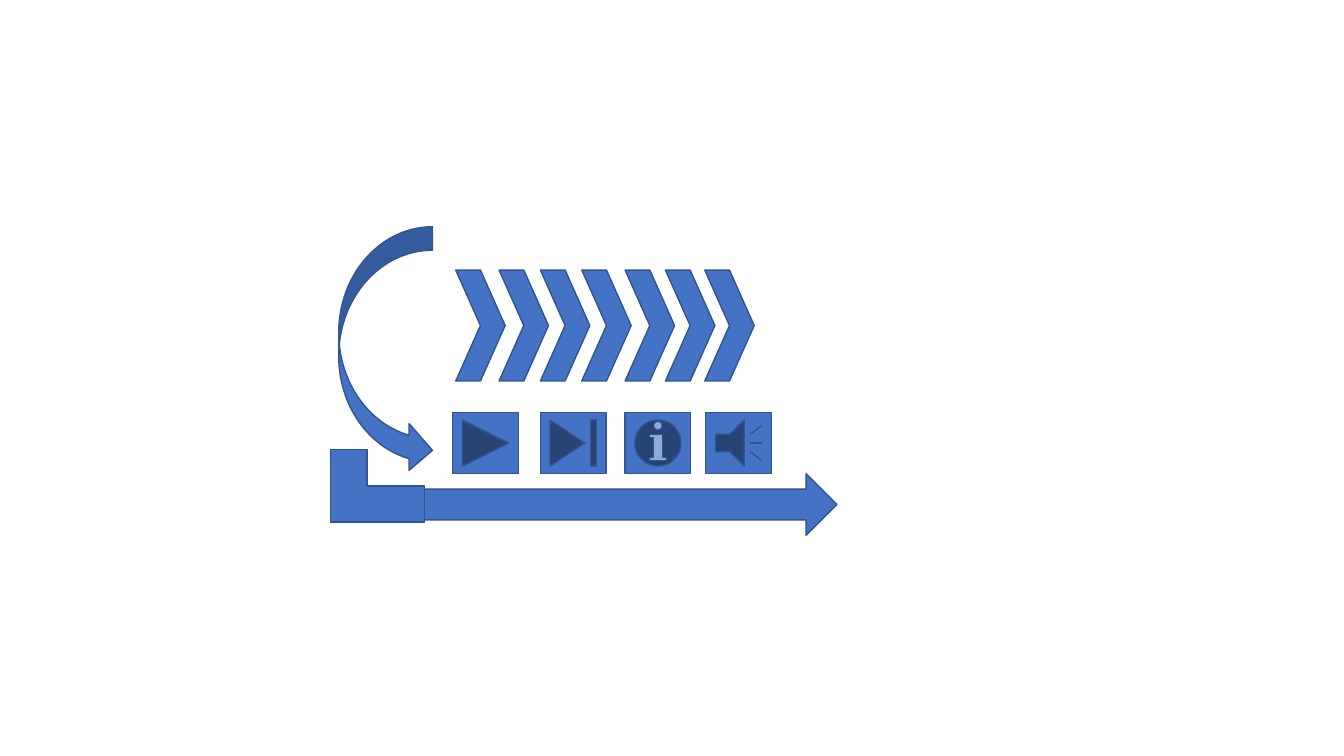
from pptx import Presentation
from pptx import util as u
from pptx.dml import color
from pptx.enum import shapes

MSO = shapes.MSO_SHAPE


def rgb(value):
    return color.RGBColor.from_string(value)


class Board:
    """Shape style and the slide being drawn on."""
    FILL = "4472C4"
    LINE = "325491"
    LINE_WIDTH = u.Pt(1)

    def __init__(self, slide):
        self.s = slide

    def shape(self, kind, left, top, width, height):
        box = [u.Inches(v) for v in (left, top, width, height)]
        sp = self.s.shapes.add_shape(kind, *box)
        sp.shadow.inherit = False
        sp.fill.solid()
        sp.fill.fore_color.rgb = rgb(self.FILL)
        sp.line.color.rgb = rgb(self.LINE)
        sp.line.width = self.LINE_WIDTH
        return sp

    def row(self, items, top, width, height):
        for kind, left in items:
            self.shape(kind, left, top, width, height)


prs = Presentation()
prs.slide_width, prs.slide_height = u.Inches(13.33), u.Inches(7.5)
board = Board(prs.slides.add_slide(prs.slide_layouts[6]))

# Curved arrow, long arrow and corner
board.shape(MSO.CURVED_RIGHT_ARROW, 3.36, 2.25, 0.93, 2.45)
board.shape(MSO.STRIPED_RIGHT_ARROW, 3.89, 4.7, 4.41, 0.61)
board.shape(MSO.CORNER, 3.28, 4.46, 0.93, 0.72)

# Action buttons
buttons = [
    (MSO.ACTION_BUTTON_FORWARD_OR_NEXT, 4.49),
    (MSO.ACTION_BUTTON_END, 5.36),
    (MSO.ACTION_BUTTON_INFORMATION, 6.2),
    (MSO.ACTION_BUTTON_SOUND, 7),
]
board.row(buttons, 4.09, 0.65, 0.61)

# Chevrons
chevron_lefts = [4.52, 4.95, 5.36, 5.77, 6.2, 6.6, 6.99]
board.row([(MSO.CHEVRON, left) for left in chevron_lefts], 2.68, 0.49, 1.1)

prs.save("out.pptx")
